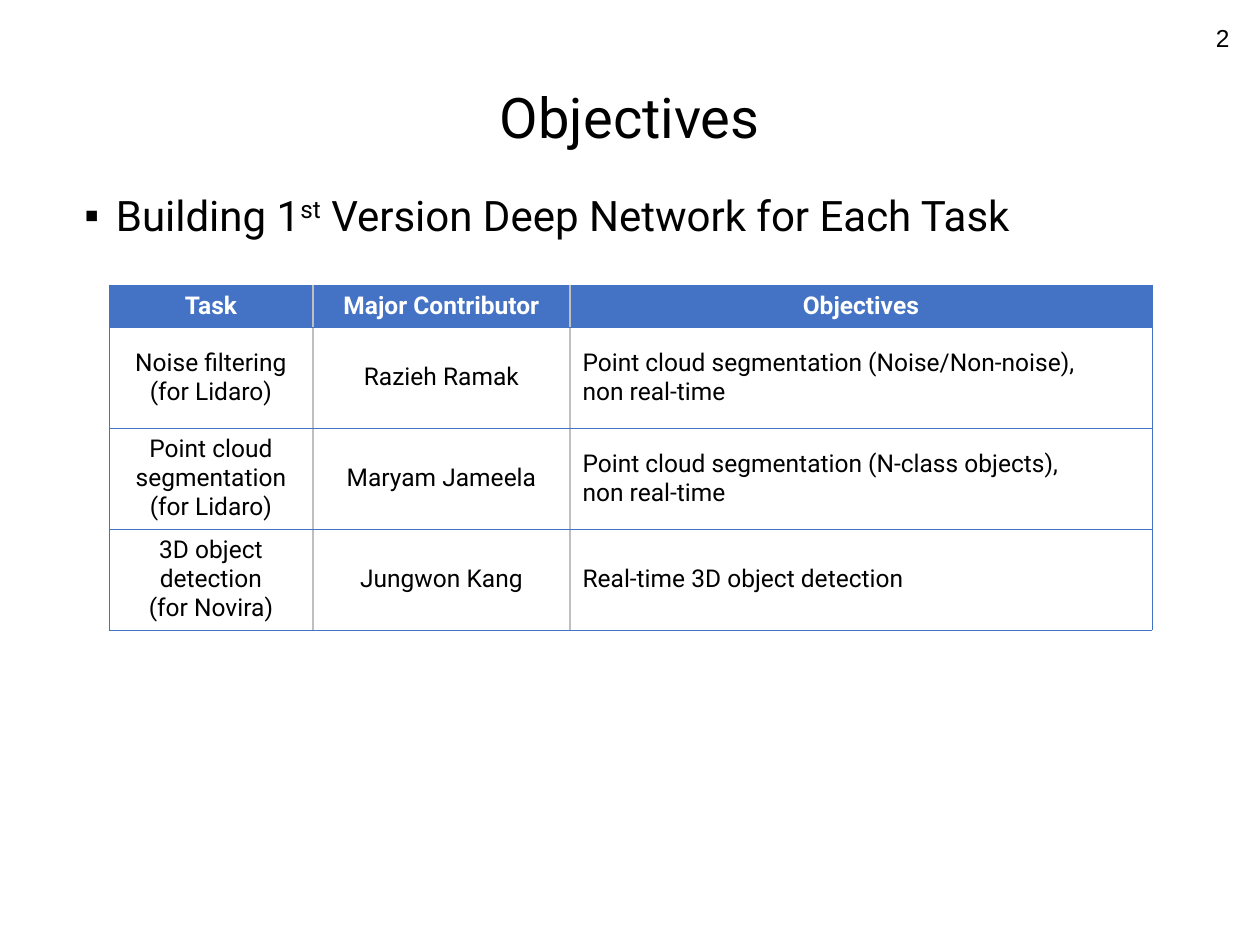
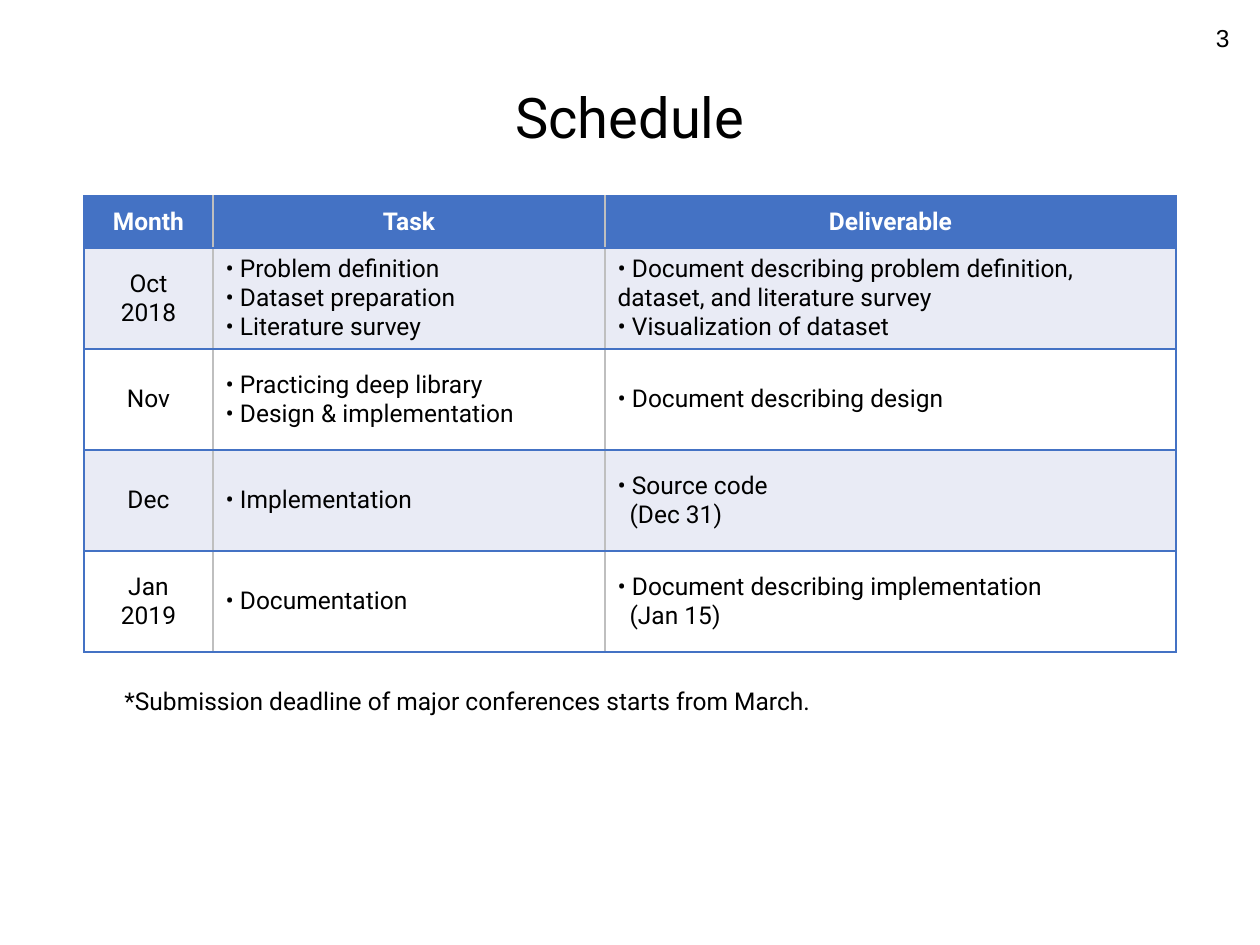
from lxml import etree
from pptx import Presentation, util as u
from pptx.dml.color import RGBColor
from pptx.enum import text
from pptx.oxml import ns

SCALE = 914400 // 126  # EMU per pixel
COLORS = {"ink": "000000", "paper": "FFFFFF", "head": "4472C4",
          "band": "E9EBF5", "rule": "BFBFBF"}
LEFT, MID, RIGHT = (text.PP_ALIGN.LEFT, text.PP_ALIGN.CENTER,
                    text.PP_ALIGN.RIGHT)


def px(n):
    return u.Emu(n * SCALE)


def rgb(name):
    return RGBColor.from_string(COLORS[name])


def add(parent, tag, **attrs):
    return etree.SubElement(parent, ns.qn(tag), **attrs)


class Deck:
    font = "Roboto"
    small = 14

    def __init__(self):
        self.prs = Presentation()
        self.prs.slide_width, self.prs.slide_height = u.Inches(10), u.Inches(7.5)
        self.slide = None

    def page(self, title, number):
        """Start a slide with the shared title and page number."""
        self.slide = self.prs.slides.add_slide(self.prs.slide_layouts[6])
        head = self.label(title, 87, 78, 1086, 84, size=32, align=MID)
        head.paragraphs[0].line_spacing = 0.9
        self.label(number, 959, 13, 283, 50, align=RIGHT, font="Arial")

    def style(self, frame, size, align, font=None, color="ink", bold=False):
        for para in frame.paragraphs:
            para.alignment = align
            for run in para.runs:
                run.font.name = font or self.font
                run.font.size = u.Pt(size)
                run.font.bold = bold
                run.font.color.rgb = rgb(color)

    def label(self, words, x, y, w, h, size=small, align=LEFT, font=None):
        box = self.slide.shapes.add_textbox(px(x), px(y), px(w), px(h))
        frame = box.text_frame
        frame.word_wrap = True
        frame.vertical_anchor = text.MSO_ANCHOR.MIDDLE
        frame.text = words
        self.style(frame, size, align, font)
        return frame

    def bullet(self, parts, x, y, w, h):
        """Bulleted line; every second part is superscript."""
        frame = self.label("", x, y, w, h)
        frame.vertical_anchor = text.MSO_ANCHOR.TOP
        para = frame.paragraphs[0]
        para.line_spacing, para.space_before = 0.9, u.Pt(10)
        for i, part in enumerate(parts):
            run = para.add_run()
            run.text = part
            if i % 2:
                run.font._element.set("baseline", "30000")
        self.style(frame, 24, LEFT)
        props = para._p.get_or_add_pPr()
        props.set("marL", "228600")
        props.set("indent", "-228600")
        add(props, "a:buFont", typeface="Arial")
        add(props, "a:buChar", char="▪")

    def edge(self, cell, side, color, width):
        line = add(cell._tc.get_or_add_tcPr(), "a:ln" + side,
                   w=str(u.Pt(width)))
        add(add(line, "a:solidFill"), "a:srgbClr", val=COLORS[color])

    def cell(self, cell, words, align, color, fill, bold):
        frame = cell.text_frame
        frame.text = words
        self.style(frame, self.small, align, color=color, bold=bold)
        for para in frame.paragraphs:
            # A date in brackets lines up with the words after the bullet
            if words.startswith("•") and para.text.startswith("("):
                para._p.get_or_add_pPr().set("marL", str(px(12)))
        cell.vertical_anchor = text.MSO_ANCHOR.MIDDLE
        if fill:
            cell.fill.solid()
            cell.fill.fore_color.rgb = rgb(fill)
        else:
            cell.fill.background()

    def table(self, x, y, cols, top, rows, aligns, bands, width):
        """Table with a blue head row, blue frame and grey column rules."""
        high = [top] + [101] * (len(rows) - 1)
        grid = self.slide.shapes.add_table(
            len(rows), len(cols), px(x), px(y), px(sum(cols)),
            px(sum(high))).table
        grid.horz_banding = False
        for c, w in enumerate(cols):
            grid.columns[c].width = px(w)
        for r, row in enumerate(rows):
            grid.rows[r].height = px(high[r])
            for c, words in enumerate(row):
                cell = grid.cell(r, c)
                for side, inner in (("L", c > 0), ("R", c < len(cols) - 1)):
                    self.edge(cell, side, "rule" if inner else "head",
                              1 if inner else width)
                for side in "TB":
                    self.edge(cell, side, "head", width)
                if r == 0:
                    self.cell(cell, words, MID, "paper", "head", True)
                else:
                    fill = bands[(r - 1) % len(bands)]
                    self.cell(cell, words, aligns[c], "ink", fill, False)


deck = Deck()

# Objectives
deck.page("Objectives", "2")
deck.bullet(["Building 1", "st", " Version Deep Network for Each Task"],
            72, 189, 1116, 149)
deck.table(109, 285, [204, 257, 582], 42, [
    ["Task", "Major Contributor", "Objectives"],
    ["Noise filtering\n(for Lidaro)", "Razieh Ramak",
     "Point cloud segmentation (Noise/Non-noise),\nnon real-time"],
    ["Point cloud\nsegmentation\n(for Lidaro)", "Maryam Jameela",
     "Point cloud segmentation (N-class objects),\nnon real-time"],
    ["3D object\ndetection\n(for Novira)", "Jungwon Kang",
     "Real-time 3D object detection"],
], [MID, MID, LEFT], [None], 0.5)

# Schedule
deck.page("Schedule", "3")
deck.table(84, 196, [129, 392, 571], 52, [
    ["Month", "Task", "Deliverable"],
    ["Oct\n2018",
     "• Problem definition\n• Dataset preparation\n• Literature survey",
     "• Document describing problem definition, dataset, and literature "
     "survey\n• Visualization of dataset"],
    ["Nov", "• Practicing deep library\n• Design & implementation",
     "• Document describing design"],
    ["Dec", "• Implementation", "• Source code\n(Dec 31)"],
    ["Jan\n2019", "• Documentation",
     "• Document describing implementation\n(Jan 15)"],
], [MID, LEFT, LEFT], ["band", "paper"], 1)
deck.label("*Submission deadline of major conferences starts from March.",
           112, 674, 1063, 53)

deck.prs.save("out.pptx")
